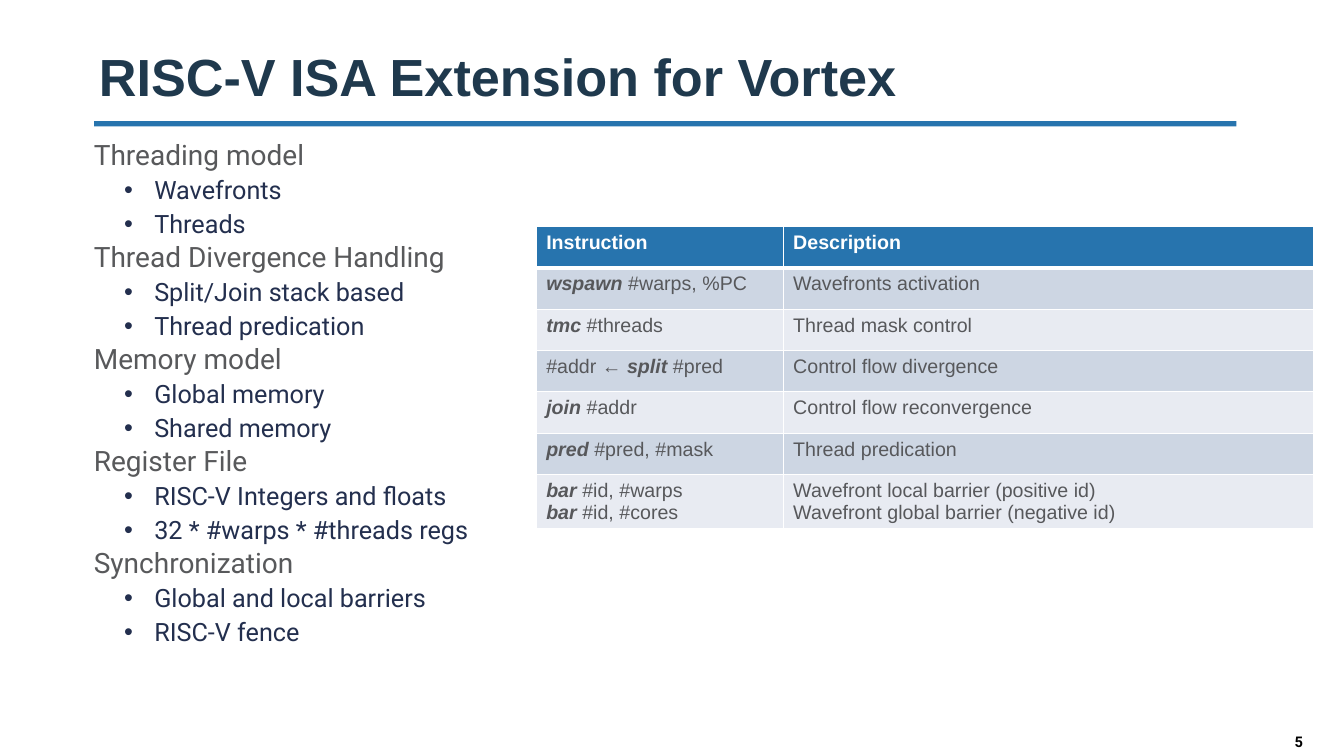
"""Build the slide on the RISC-V ISA extension."""
from pptx import Presentation
from pptx.dml.color import RGBColor
from pptx.enum.shapes import MSO_SHAPE as Shape
from pptx.enum.text import MSO_ANCHOR as Anchor, MSO_AUTO_SIZE as Fit, PP_ALIGN as Align
from pptx.oxml import parse_xml
from pptx.oxml.ns import nsdecls
from pptx.util import Pt

TITLE = "RISC-V ISA Extension for Vortex"
TOPICS = [
    ("Threading model", ["Wavefronts", "Threads"]),
    ("Thread Divergence Handling", ["Split/Join stack based", "Thread predication"]),
    ("Memory model", ["Global memory", "Shared memory"]),
    ("Register File", ["RISC-V Integers and floats", "32 * #warps * #threads regs"]),
    ("Synchronization", ["Global and local barriers", "RISC-V fence"]),
]
ROWS = [
    ("Instruction", "Description"),
    ("*wspawn* #warps, %PC", "Wavefronts activation"),
    ("*tmc* #threads", "Thread mask control"),
    ("#addr ← *split* #pred", "Control flow divergence"),
    ("*join* #addr", "Control flow reconvergence"),
    ("*pred* #pred, #mask", "Thread predication"),
    ("*bar* #id, #warps\n*bar* #id, #cores",
     "Wavefront local barrier (positive id)\nWavefront global barrier (negative id)"),
]
NUMBER = "5"

BLUE, WHITE = "2774AE", "FFFFFF"
BANDS = ["E8EBF2", "CDD6E3"]
COLS, HIGH = [176.4, 378.7], 29.5
HEAD = dict(name="Roboto", size=Pt(20), color="58595B", bold=False)
ITEM = dict(HEAD, size=Pt(18), color="232F4E")
NAME = dict(name="Arial", size=Pt(37.3), color="1F394D", bold=True)
PAGE = dict(name="Roboto", size=Pt(10.5), color="000000", bold=True)
CELL = dict(name="Arial", size=Pt(14), color="57585B")


def tint(text):
    return RGBColor.from_string(text)


def style(font, form):
    for key, val in form.items():
        if key == "color":
            font.color.rgb = tint(val)
        else:
            setattr(font, key, val)


def place(shape, *box):
    for key, val in zip(("left", "top", "width", "height"), box):
        setattr(shape, key, Pt(val))


def write(para, text, form):
    run = para.add_run()
    run.text = text
    style(run.font, form)


def bullet(para, mark, left, hang):
    props = para._p.get_or_add_pPr()
    props.set("marL", str(Pt(left)))
    props.set("indent", str(Pt(hang)))
    tag = f'buChar {nsdecls("a")} char="{mark}"' if mark else f'buNone {nsdecls("a")}'
    props.append(parse_xml(f"<a:{tag}/>"))


def border(cell, head):
    props = cell._tc.get_or_add_tcPr()
    for spot, side in enumerate("LRTB"):
        wide = Pt(3 if head and side == "B" else 1)
        props.insert(spot, parse_xml(
            f'<a:ln{side} {nsdecls("a")} w="{wide}"><a:solidFill>'
            f'<a:srgbClr val="{WHITE}"/></a:solidFill></a:ln{side}>'))


def fill_cell(cell, text, row):
    head = row == 0
    cell.fill.solid()
    cell.fill.fore_color.rgb = tint(BLUE if head else BANDS[row % 2])
    border(cell, head)
    frame = cell.text_frame
    for num, line in enumerate(text.split("\n")):
        para = frame.add_paragraph() if num else frame.paragraphs[0]
        for spot, part in enumerate(line.split("*")):
            if part:
                key = spot % 2 == 1
                write(para, part, dict(CELL, color=WHITE if head else CELL["color"],
                                       bold=head or key, italic=key))


def add_list(body):
    place(body, 59.8, 94.3, 908.6, 408.2)
    frame = body.text_frame
    frame.auto_size = Fit.NONE
    lines = [pair for head, items in TOPICS
             for pair in [(head, 0)] + [(item, 1) for item in items]]
    for num, (text, level) in enumerate(lines):
        para = frame.add_paragraph() if num else frame.paragraphs[0]
        para.level = level
        bullet(para, *(("•", 43.2, -21.6) if level else ("", 0, 0)))
        para.space_before = Pt(5 * level)
        para.line_spacing = 0.9 if level else 1.0
        write(para, text, ITEM if level else HEAD)


def add_grid(shapes):
    grid = shapes.add_table(len(ROWS), len(COLS), Pt(383), Pt(162),
                            Pt(sum(COLS)), Pt(HIGH * len(ROWS))).table
    for col, wide in zip(grid.columns, COLS):
        col.width = Pt(wide)
    for row, texts in enumerate(ROWS):
        grid.rows[row].height = Pt(HIGH)
        for col, text in enumerate(texts):
            fill_cell(grid.cell(row, col), text, row)


def main():
    deck = Presentation()
    deck.slide_width, deck.slide_height = Pt(960), Pt(540)
    slide = deck.slides.add_slide(deck.slide_layouts[1])
    shapes = slide.shapes

    title = shapes.title
    place(title, 63.4, 13.7, 887.8, 66.2)
    title.text_frame.auto_size = Fit.NONE
    title.text_frame.vertical_anchor = Anchor.BOTTOM
    para = title.text_frame.paragraphs[0]
    para.alignment = Align.LEFT
    write(para, TITLE, NAME)

    rule = shapes.add_shape(Shape.RECTANGLE, Pt(67.2), Pt(86.6), Pt(816), Pt(3.8))
    rule.shadow.inherit = False
    rule.fill.solid()
    rule.fill.fore_color.rgb = tint(BLUE)
    rule.line.fill.background()

    add_list(slide.placeholders[1])
    add_grid(shapes)

    page = shapes.add_textbox(Pt(887.8), Pt(519.8), Pt(80), Pt(18)).text_frame
    page.word_wrap = True
    page.paragraphs[0].alignment = Align.CENTER
    write(page.paragraphs[0], NUMBER, PAGE)
    deck.save("out.pptx")


if __name__ == "__main__":
    main()
